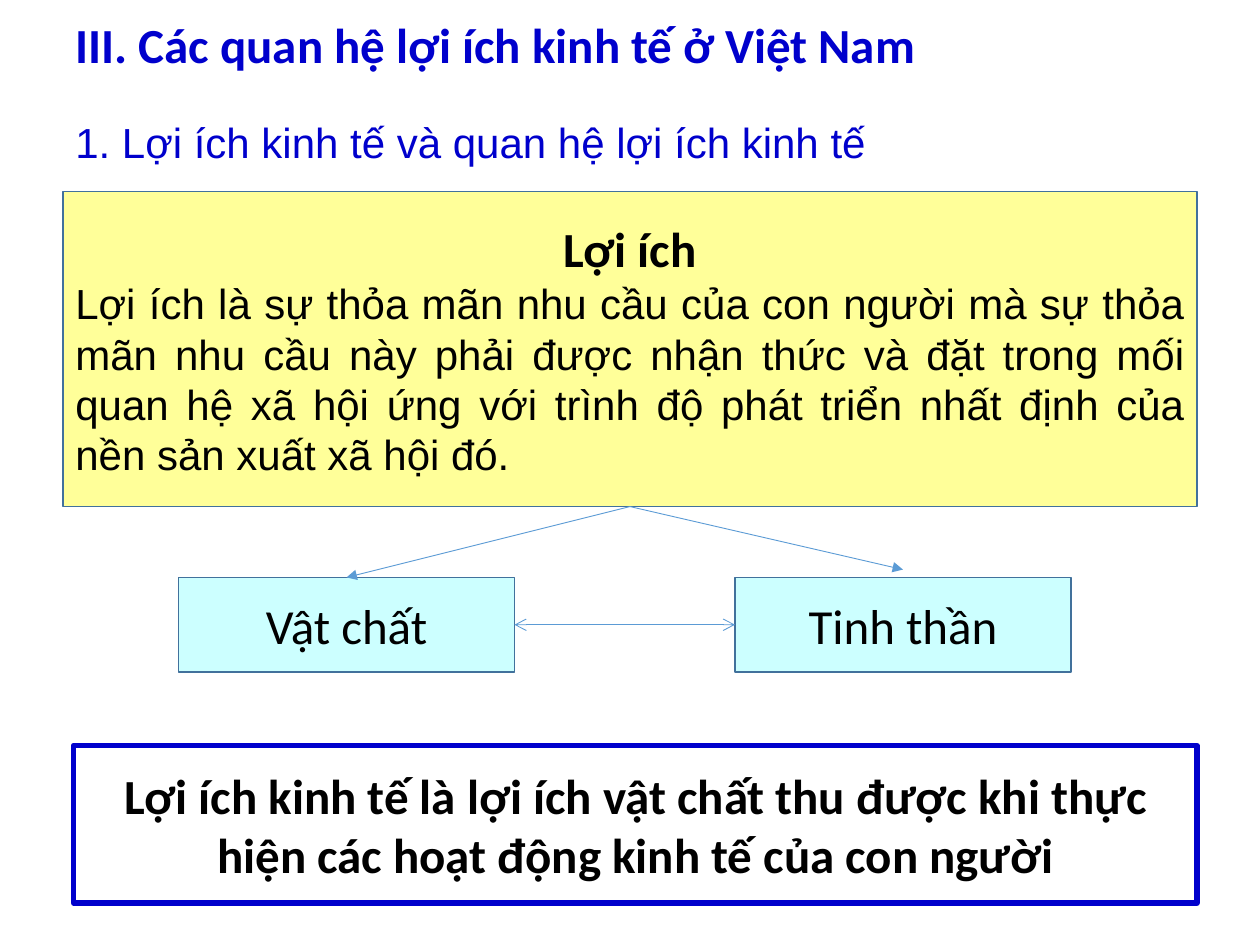
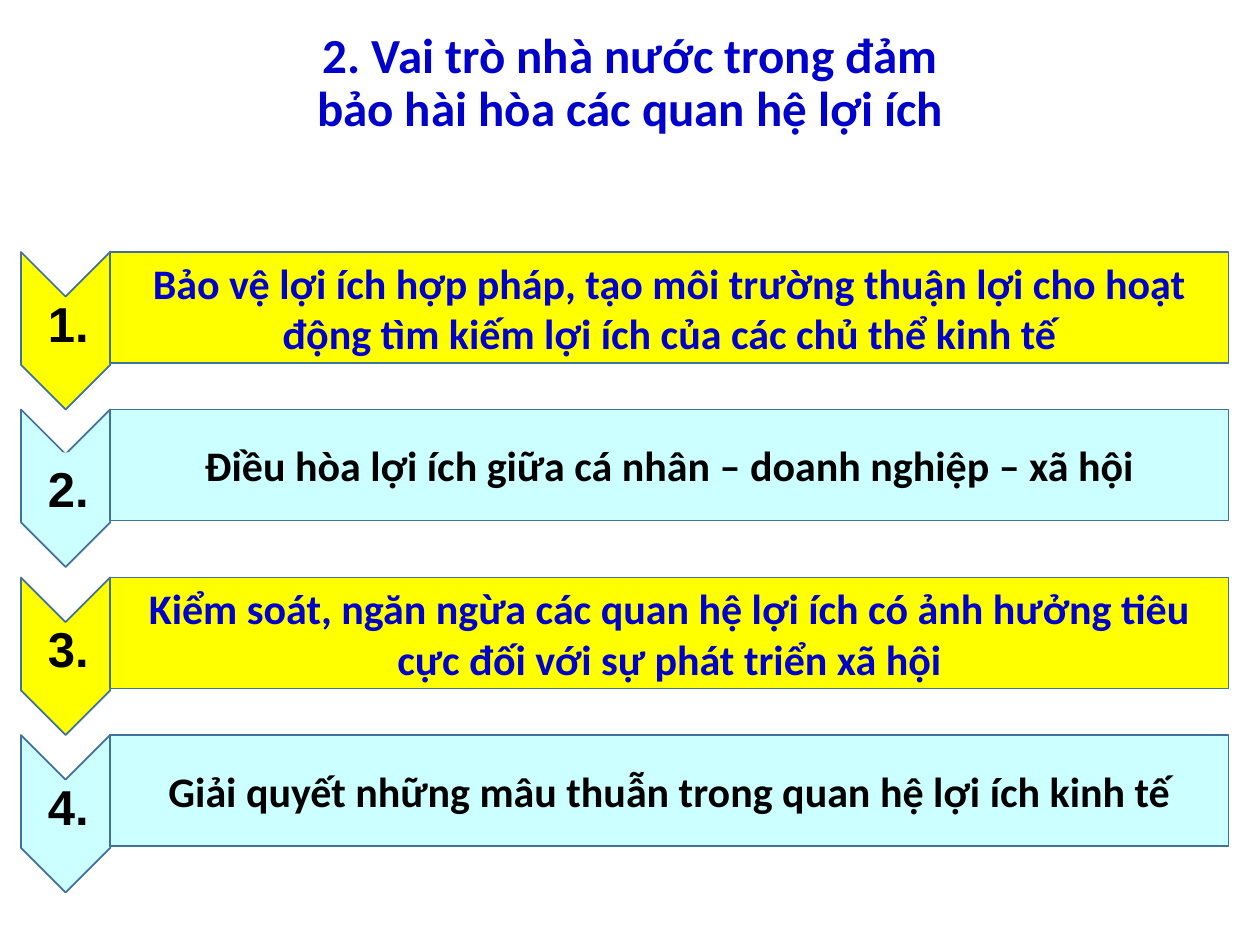
from lxml.etree import SubElement
from pptx import Presentation
from pptx.dml.color import RGBColor
from pptx.enum.shapes import MSO_CONNECTOR, MSO_SHAPE
from pptx.enum.text import MSO_ANCHOR, MSO_AUTO_SIZE, PP_ALIGN
from pptx.oxml.ns import qn
from pptx.util import Pt

HUES = {
    "blue": "0000CC", "black": "000000", "white": "FFFFFF",
    "cream": "FFFF99", "aqua": "CCFFFF", "yellow": "FFFF00",
    "edge": "41719C", "arrow": "5B9BD5",
}


def hue(name):
    return RGBColor.from_string(HUES[name])


class Deck:
    def __init__(self):
        self.prs = Presentation()
        self.prs.slide_width = Pt(720)
        self.prs.slide_height = Pt(540)
        self.slide = None

    def page(self, title, box, align):
        self.slide = self.prs.slides.add_slide(self.prs.slide_layouts[5])
        head = self.slide.shapes.title
        head.left, head.top, head.width, head.height = map(Pt, box)
        frame = head.text_frame
        frame.text = title
        frame.word_wrap = True
        frame.auto_size = MSO_AUTO_SIZE.NONE
        frame.vertical_anchor = MSO_ANCHOR.MIDDLE
        para = frame.paragraphs[0]
        para.line_spacing = 0.9
        self.style(para, 28, "blue", bold=True, align=align)

    def style(self, para, size, color, font="Calibri", bold=False,
              align=PP_ALIGN.CENTER):
        para.alignment = align
        for run in para.runs:
            run.font.name = font
            run.font.size = Pt(size)
            run.font.bold = bold
            run.font.color.rgb = hue(color)

    def paint(self, shape, fill, edge="edge", width=1):
        shape.shadow.inherit = False
        shape.fill.solid()
        shape.fill.fore_color.rgb = hue(fill)
        shape.line.color.rgb = hue(edge)
        shape.line.width = Pt(width)

    def panel(self, box, text, fill, size=28, color="black", bold=False,
              edge="edge", width=1):
        shape = self.slide.shapes.add_shape(MSO_SHAPE.RECTANGLE, *map(Pt, box))
        self.paint(shape, fill, edge, width)
        frame = shape.text_frame
        frame.text = text
        frame.word_wrap = True
        frame.vertical_anchor = MSO_ANCHOR.MIDDLE
        for para in frame.paragraphs:
            self.style(para, size, color, bold=bold)
        return frame

    def label(self, box, text, size, color, bold=False, align=PP_ALIGN.CENTER,
              fill=None):
        shape = self.slide.shapes.add_textbox(*map(Pt, box))
        if fill:
            shape.fill.solid()
            shape.fill.fore_color.rgb = hue(fill)
        frame = shape.text_frame
        frame.text = text
        frame.word_wrap = True
        self.style(frame.paragraphs[0], size, color, "Arial", bold, align)

    def arrow(self, start, end, **tips):
        link = self.slide.shapes.add_connector(
            MSO_CONNECTOR.STRAIGHT, *map(Pt, start + end))
        link.line.color.rgb = hue("arrow")
        link.line.width = Pt(0.5)
        props = link.element.spPr
        line = props.find(qn("a:ln"))
        for tip, kind in tips.items():
            SubElement(line, qn(f"a:{tip}"), type=kind)
        SubElement(props, qn("a:effectLst"))

    def chevron(self, left, top, width, height, fill):
        mid, right = left + width / 2, left + width
        dip = width / 2
        low = top + height
        dots = [(right, low - dip), (mid, low), (left, low - dip),
                (left, top), (mid, top + dip)]
        path = self.slide.shapes.build_freeform(Pt(right), Pt(top))
        path.add_line_segments([(Pt(x), Pt(y)) for x, y in dots], close=True)
        self.paint(path.convert_to_shape(), fill)


def concepts(deck):
    deck.page("III. Các quan hệ lợi ích kinh tế ở Việt Nam",
              (36, 6, 648, 42), PP_ALIGN.LEFT)
    deck.label((36, 63, 648, 36), "1. Lợi ích kinh tế và quan hệ lợi ích kinh tế",
               24, "blue", align=PP_ALIGN.LEFT)
    frame = deck.panel(
        (36, 109.5, 648, 180),
        "Lợi ích\n"
        "Lợi ích là sự thỏa mãn nhu cầu của con người mà sự thỏa mãn nhu cầu "
        "này phải được nhận thức và đặt trong mối quan hệ xã hội ứng với trình "
        "độ phát triển nhất định của nền sản xuất xã hội đó.",
        "cream", bold=True)
    deck.style(frame.paragraphs[1], 24, "black", "Arial",
               align=PP_ALIGN.JUSTIFY)
    for left, text in ((102, "Vật chất"), (420, "Tinh thần")):
        deck.panel((left, 330, 192, 54), text, "aqua")
    for end in ((198, 330), (516, 325.5)):
        deck.arrow((360, 289.5), end, tailEnd="triangle")
    deck.arrow((294, 357), (420, 357), headEnd="arrow", tailEnd="arrow")
    deck.panel((42, 426, 642, 90),
               "Lợi ích kinh tế là lợi ích vật chất thu được khi thực hiện "
               "các hoạt động kinh tế của con người",
               "white", bold=True, edge="blue", width=3)


def roles(deck):
    deck.page("2. Vai trò nhà nước trong đảm bảo hài hòa các quan hệ lợi ích",
              (162, 18, 396, 60), PP_ALIGN.CENTER)
    rows = [
        (144, 20, None, "Bảo vệ lợi ích hợp pháp, tạo môi trường thuận lợi cho "
         "hoạt động tìm kiếm lợi ích của các chủ thể kinh tế"),
        (234, 24.5, "aqua",
         "Điều hòa lợi ích giữa cá nhân – doanh nghiệp – xã hội"),
        (330, 20, None, "Kiểm soát, ngăn ngừa các quan hệ lợi ích có ảnh hưởng "
         "tiêu cực đối với sự phát triển xã hội"),
        (420, 20, None,
         "Giải quyết những mâu thuẫn trong quan hệ lợi ích kinh tế"),
    ]
    for num, (top, drop, back, text) in enumerate(rows, 1):
        fill, color = ("yellow", "blue") if num % 2 else ("aqua", "black")
        deck.chevron(12, top, 51, 90, fill)
        deck.panel((63, top, 639, 63.5), text, fill, 24, color, True)
        deck.label((18, top + drop, 42, 41), f"{num}.", 28, "black", True,
                   fill=back)


def main():
    deck = Deck()
    concepts(deck)
    roles(deck)
    deck.prs.save("out.pptx")


if __name__ == "__main__":
    main()
